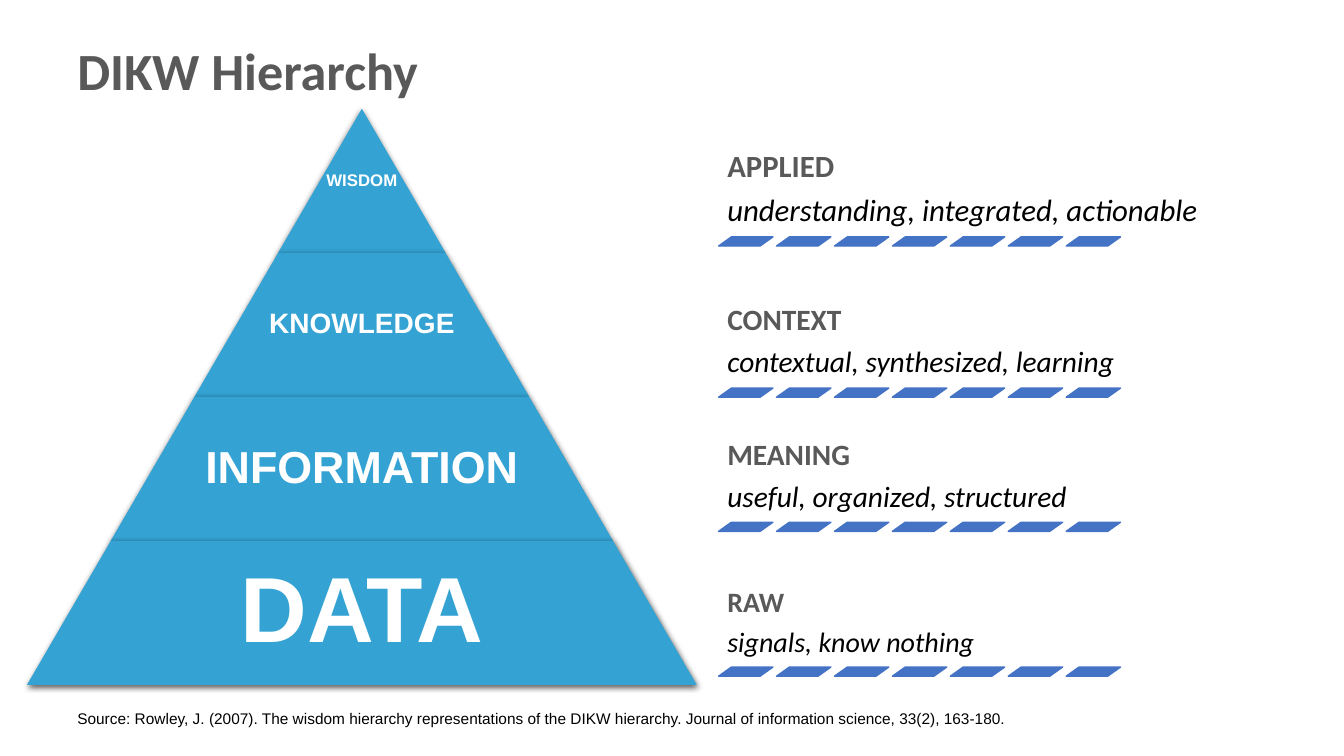
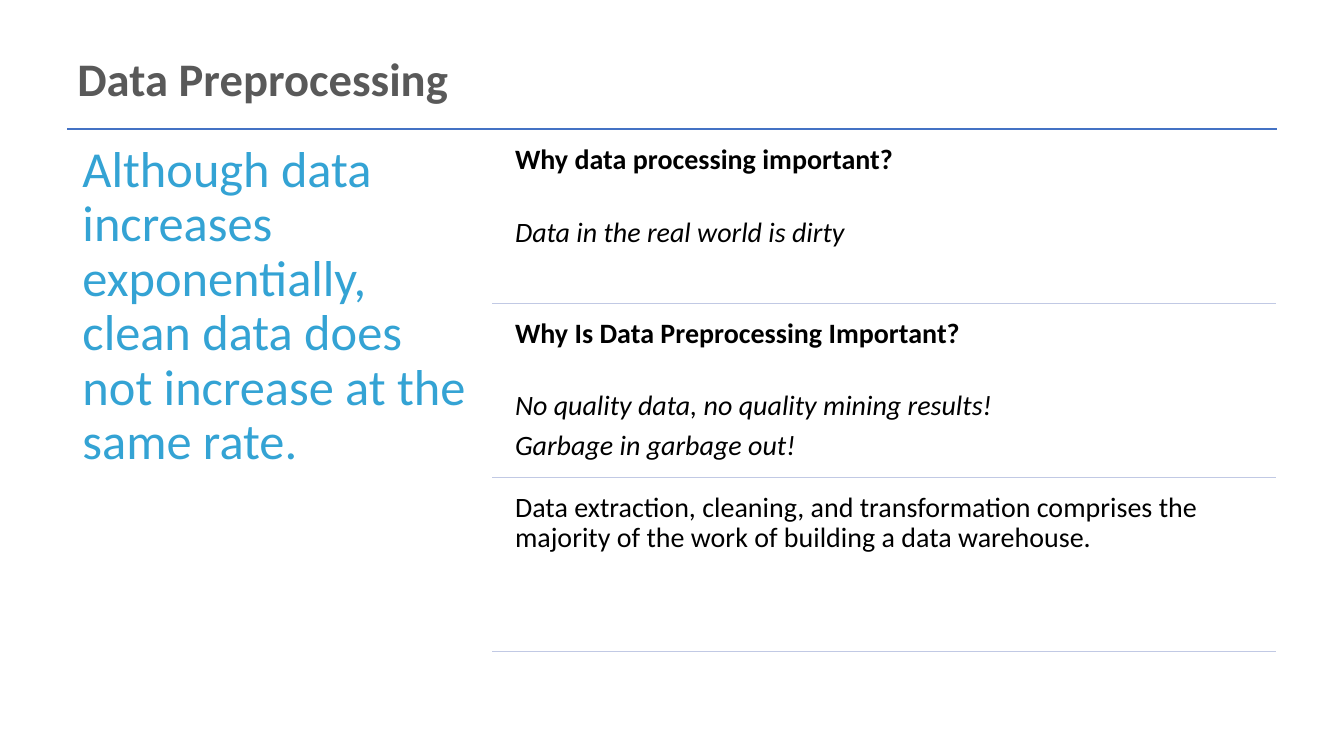
from lxml import etree
from pptx import Presentation
from pptx import util as u
from pptx.dml import color
from pptx.enum import shapes, text
from pptx.oxml import ns

HUES = {"gray": "595959", "sky": "34A3D4", "blue": "4472C4",
        "pale": "C1C9E4", "ink": "000000", "white": "FFFFFF"}


class Deck:
    """Holds the shared style and the current slide."""

    def __init__(self):
        self.prs = Presentation()
        self.prs.slide_width = u.Cm(33.87)
        self.prs.slide_height = u.Cm(19.05)
        self.slide = None

    def hue(self, name):
        return color.RGBColor.from_string(HUES[name])

    def page(self, title, size, top):
        self.slide = self.prs.slides.add_slide(self.prs.slide_layouts[6])
        self.box((1.7, top, 30.48, 1.98), [self.para(title, size, "gray", bold=True, lead=1)],
                 inset=(0.25, 0.13), anchor="MIDDLE")

    def para(self, words, size, hue="ink", font="Calibri", bold=False, slant=False,
             lead=0.9, after=0):
        return dict(words=words, size=size, hue=hue, font=font, bold=bold,
                    slant=slant, lead=lead, after=after)

    def box(self, at, paras, inset=(0.2, 0.2), anchor="TOP", align="LEFT"):
        frame = self.slide.shapes.add_textbox(*map(u.Cm, at)).text_frame
        frame.word_wrap = True
        frame.vertical_anchor = getattr(text.MSO_ANCHOR, anchor)
        frame.margin_left = frame.margin_right = u.Cm(inset[0])
        frame.margin_top = frame.margin_bottom = u.Cm(inset[1])
        for i, item in enumerate(paras):
            par = frame.add_paragraph() if i else frame.paragraphs[0]
            par.alignment = getattr(text.PP_ALIGN, align)
            par.line_spacing = item["lead"]
            par.space_after = u.Pt(item["after"])
            run = par.add_run()
            run.text = item["words"]
            run.font.name = item["font"]
            run.font.size = u.Pt(item["size"])
            run.font.bold = item["bold"]
            run.font.italic = item["slant"]
            run.font.color.rgb = self.hue(item["hue"])

    def shape(self, kind, at, hue, bend, edge=False):
        form = self.slide.shapes.add_shape(getattr(shapes.MSO_SHAPE, kind), *map(u.Cm, at))
        form.adjustments[0] = bend
        form.shadow.inherit = False
        form.fill.solid()
        form.fill.fore_color.rgb = self.hue(hue)
        if edge:
            form.line.color.rgb = self.hue(hue)
            form.line.width = u.Pt(1)
        else:
            form.line.fill.background()
        return form

    def shade(self, form):
        glow = form._element.spPr.find(ns.qn("a:effectLst"))
        cast = etree.SubElement(glow, ns.qn("a:outerShdw"), blurRad=str(u.Pt(4.5)),
                                dist=str(u.Pt(1.5)), dir="5400000",
                                algn="ctr", rotWithShape="0")
        tint = etree.SubElement(cast, ns.qn("a:srgbClr"), val=HUES["ink"])
        etree.SubElement(tint, ns.qn("a:alpha"), val="63000")

    def rule(self, left, right, top, hue):
        line = self.slide.shapes.add_connector(
            shapes.MSO_CONNECTOR.STRAIGHT, *map(u.Cm, (left, top, right, top)))
        line.line.color.rgb = self.hue(hue)
        line.line.width = u.Pt(1)
        etree.SubElement(line._element.spPr, ns.qn("a:effectLst"))

    def tier(self, rank, label, size):
        mid, high, wide = 9.12, 3.63, 4.22 * (rank + 1)
        at = (mid - wide / 2, 2.74 + rank * high, wide, high)
        self.shade(self.shape("TRAPEZOID", at, "sky", 0.582))
        self.box(at, [self.para(label, size, "white", "Arial", bold=True)],
                 inset=(0.05, 0.05), anchor="MIDDLE", align="CENTER")

    def level(self, base, head, note, size):
        left, high = 18.11, 3
        self.box((left, base - high, 13.74, high),
                 [self.para(head, size, "gray", bold=True, after=size * 0.35),
                  self.para(note, size, slant=True)],
                 inset=(0.22, 0.22), anchor="BOTTOM")
        for i in range(7):
            self.shape("PARALLELOGRAM", (left + i * 1.46, base, 1.37, 0.23),
                       "blue", 1.408, edge=True)


def main():
    deck = Deck()
    deck.page("DIKW Hierarchy", 37.3, 0.76)
    source = ("Source: Rowley, J. (2007). The wisdom hierarchy representations of the "
              "DIKW hierarchy. Journal of information science, 33(2), 163-180.")
    deck.box((1.7, 17.75, 24.33, 0.74), [deck.para(source, 11, font="Arial", lead=1)],
             inset=(0.25, 0.13))
    tiers = [("WISDOM", 12), ("KNOWLEDGE", 20), ("INFORMATION", 32), ("DATA", 66)]
    for rank, (label, size) in enumerate(tiers):
        deck.tier(rank, label, size)
    levels = [(5.97, "APPLIED", "understanding, integrated, actionable", 22),
              (9.78, "CONTEXT", "contextual, synthesized, learning", 21),
              (13.16, "MEANING", "useful, organized, structured", 21),
              (16.81, "RAW", "signals, know nothing", 20)]
    for level in levels:
        deck.level(*level)

    deck.page("Data Preprocessing", 33.3, 0.98)
    top, step = 3.25, 4.38
    deck.rule(1.7, 32.18, top, "blue")
    claim = ("Although data increases exponentially, clean data does not "
             "increase at the same rate.")
    deck.box((1.7, top, 10.69, 13.33), [deck.para(claim, 36, "sky")], inset=(0.38, 0.38))
    points = [("Why data processing important?", ["Data in the real world is dirty"]),
              ("Why Is Data Preprocessing Important?",
               ["No quality data, no quality mining results!", "Garbage in garbage out!"]),
              (None, ["Data extraction, cleaning, and transformation comprises the "
                      "majority of the work of building a data warehouse."])]
    for i, (head, notes) in enumerate(points):
        paras = [deck.para(head, 20, bold=True, after=30)] if head else []
        paras += [deck.para(note, 20, slant=bool(head), after=7) for note in notes]
        deck.box((12.78, top + 0.22 + i * step, 19.41, 4.17), paras)
        deck.rule(12.4, 32.16, top + 0.02 + (i + 1) * step, "pale")
    deck.prs.save("out.pptx")


if __name__ == "__main__":
    main()
